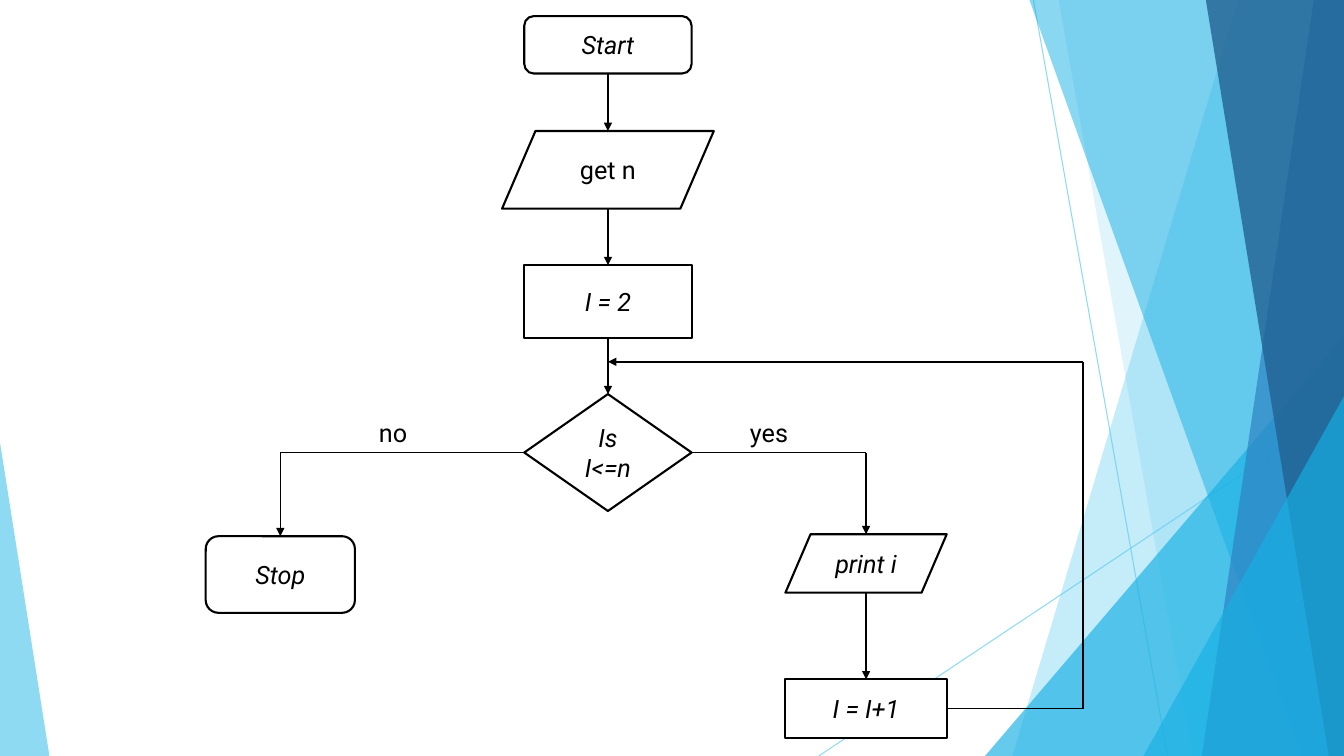
"""Build a flowchart slide that counts from 2 up to n."""
from lxml import etree
from pptx import Presentation
from pptx.dml.color import RGBColor
from pptx.enum.shapes import MSO_CONNECTOR, MSO_SHAPE as SHAPE
from pptx.enum.text import MSO_ANCHOR, PP_ALIGN
from pptx.oxml.ns import qn
from pptx.util import Pt

PX = 9144
WIDTH, HEIGHT = 1333, 750
BLACK = RGBColor(0x00, 0x00, 0x00)
WHITE = RGBColor(0xFF, 0xFF, 0xFF)
SKY = RGBColor(0x5F, 0xCB, 0xEF)
CYAN = RGBColor(0x17, 0xB0, 0xE4)
BLUE = RGBColor(0x2E, 0x83, 0xC3)
NAVY = RGBColor(0x22, 0x62, 0x92)
TOP, LEFT, BOTTOM, RIGHT = range(4)

RAYS = [((1025, 0), (1158, HEIGHT)), ((WIDTH, 403), (812, HEIGHT))]
RIGHT_BANDS = [
    (1228, 0, 1004, SKY, 36),
    (1050, 0, 1183, SKY, 20),
    (WIDTH, 333, 977, CYAN, 66),
    (1021, 0, 1291, CYAN, 50),
    (1303, 0, 1192, BLUE, 70),
    (1196, 0, 1318, NAVY, 80),
    (WIDTH, 393, 1134, CYAN, 66),
]
LEFT_WEDGE = [(0, 439), (49, HEIGHT), (0, HEIGHT)]

MAIN_X, STOP_X, LOOP_X, RETURN_X = 603, 278, 859, 1074
BRANCH_Y, RETURN_Y, NEXT_Y = 449, 359, 703
NODES = {
    "start": (SHAPE.ROUNDED_RECTANGLE, MAIN_X, 16, 166, 57, "Start", True),
    "input": (SHAPE.PARALLELOGRAM, MAIN_X, 130, 210, 77, "get n", False),
    "init": (SHAPE.RECTANGLE, MAIN_X, 263, 166, 72, "I = 2", True),
    "test": (SHAPE.DIAMOND, MAIN_X, 391, 166, 116, "Is\nI<=n", True),
    "stop": (SHAPE.FLOWCHART_ALTERNATE_PROCESS, STOP_X, 532, 148, 76, "Stop", True),
    "print": (SHAPE.PARALLELOGRAM, LOOP_X, 530, 160, 58, "print i", True),
    "next": (SHAPE.RECTANGLE, LOOP_X, 674, 160, 58, "I = I+1", True),
}
ROUTES = [
    [("start", BOTTOM), ("input", TOP)],
    [("input", BOTTOM), ("init", TOP)],
    [("init", BOTTOM), ("test", TOP)],
    [("test", LEFT), (STOP_X, BRANCH_Y), ("stop", TOP)],
    [("test", RIGHT), (LOOP_X, BRANCH_Y), ("print", TOP)],
    [("print", BOTTOM), ("next", TOP)],
    [("next", RIGHT), (RETURN_X, NEXT_Y), (RETURN_X, RETURN_Y), (MAIN_X, RETURN_Y)],
]
LABELS = [("yes", 734, 409, 70, 40), ("no", 366, 409, 48, 40)]


def set_alpha(fill_owner, percent):
    for clr in fill_owner.iter(qn("a:srgbClr")):
        etree.SubElement(clr, qn("a:alpha")).set("val", str(percent * 1000))


def write(sp, text, italic=False, align=PP_ALIGN.CENTER, anchor=MSO_ANCHOR.MIDDLE, wrap=True):
    tf = sp.text_frame
    tf.word_wrap = wrap
    tf.vertical_anchor = anchor
    for i, line in enumerate(text.split("\n")):
        p = tf.add_paragraph() if i else tf.paragraphs[0]
        p.alignment = align
        r = p.add_run()
        r.text = line
        r.font.name, r.font.size = "Roboto", Pt(18)
        r.font.italic, r.font.color.rgb = italic, BLACK


def add_line(shapes, start, end, color=BLACK, weight=1, arrow=False):
    cn = shapes.add_connector(MSO_CONNECTOR.STRAIGHT, *(v * PX for v in (*start, *end)))
    cn.line.color.rgb, cn.line.width = color, Pt(weight)
    if arrow:
        etree.SubElement(cn.line._get_or_add_ln(), qn("a:tailEnd")).set("type", "triangle")
    etree.SubElement(cn._element.spPr, qn("a:effectLst"))
    return cn


def add_polygon(shapes, points, color, alpha):
    fb = shapes.build_freeform(*points[0], scale=PX)
    fb.add_line_segments(points[1:], close=True)
    sp = fb.convert_to_shape()
    sp.shadow.inherit = False
    sp.fill.solid()
    sp.fill.fore_color.rgb = color
    sp.line.fill.background()
    set_alpha(sp._element.spPr, alpha)


def add_node(shapes, kind, cx, top, w, h, text, italic):
    sp = shapes.add_shape(kind, *(v * PX for v in (cx - w // 2, top, w, h)))
    if kind == SHAPE.PARALLELOGRAM:
        sp.adjustments[0] = 0.43
    sp.shadow.inherit = False
    sp.fill.solid()
    sp.fill.fore_color.rgb = WHITE
    sp.line.color.rgb, sp.line.width = BLACK, Pt(1.5)
    write(sp, text, italic)
    return sp


def locate(end):
    if end[0] not in NODES:
        return end
    name, side = end
    _, cx, top, w, h, *_ = NODES[name]
    left = cx - w // 2
    return [(cx, top), (left, top + h // 2), (cx, top + h), (left + w, top + h // 2)][side]


def can_join(end):
    return end[0] in NODES and NODES[end[0]][0] != SHAPE.PARALLELOGRAM


def add_route(shapes, route, nodes):
    for i, (a, b) in enumerate(zip(route, route[1:]), 2):
        cn = add_line(shapes, locate(a), locate(b), arrow=i == len(route))
        if can_join(a):
            cn.begin_connect(nodes[a[0]], a[1])
        if can_join(b):
            cn.end_connect(nodes[b[0]], b[1])


def main():
    prs = Presentation()
    prs.slide_width, prs.slide_height = WIDTH * PX, HEIGHT * PX
    shapes = prs.slides.add_slide(prs.slide_layouts[6]).shapes
    for start, end in RAYS:
        set_alpha(add_line(shapes, start, end, SKY, 0.75)._element.spPr, 70)
    for top_x, top, bottom_x, color, alpha in RIGHT_BANDS:
        corners = [(top_x, top), (WIDTH, top), (WIDTH, HEIGHT), (bottom_x, HEIGHT)]
        add_polygon(shapes, corners, color, alpha)
    add_polygon(shapes, LEFT_WEDGE, SKY, 70)
    nodes = {name: add_node(shapes, *node) for name, node in NODES.items()}
    for route in ROUTES:
        add_route(shapes, route, nodes)
    for text, *box in LABELS:
        label = shapes.add_textbox(*(v * PX for v in box))
        write(label, text, align=PP_ALIGN.LEFT, anchor=MSO_ANCHOR.TOP, wrap=False)
    prs.save("out.pptx")


if __name__ == "__main__":
    main()
